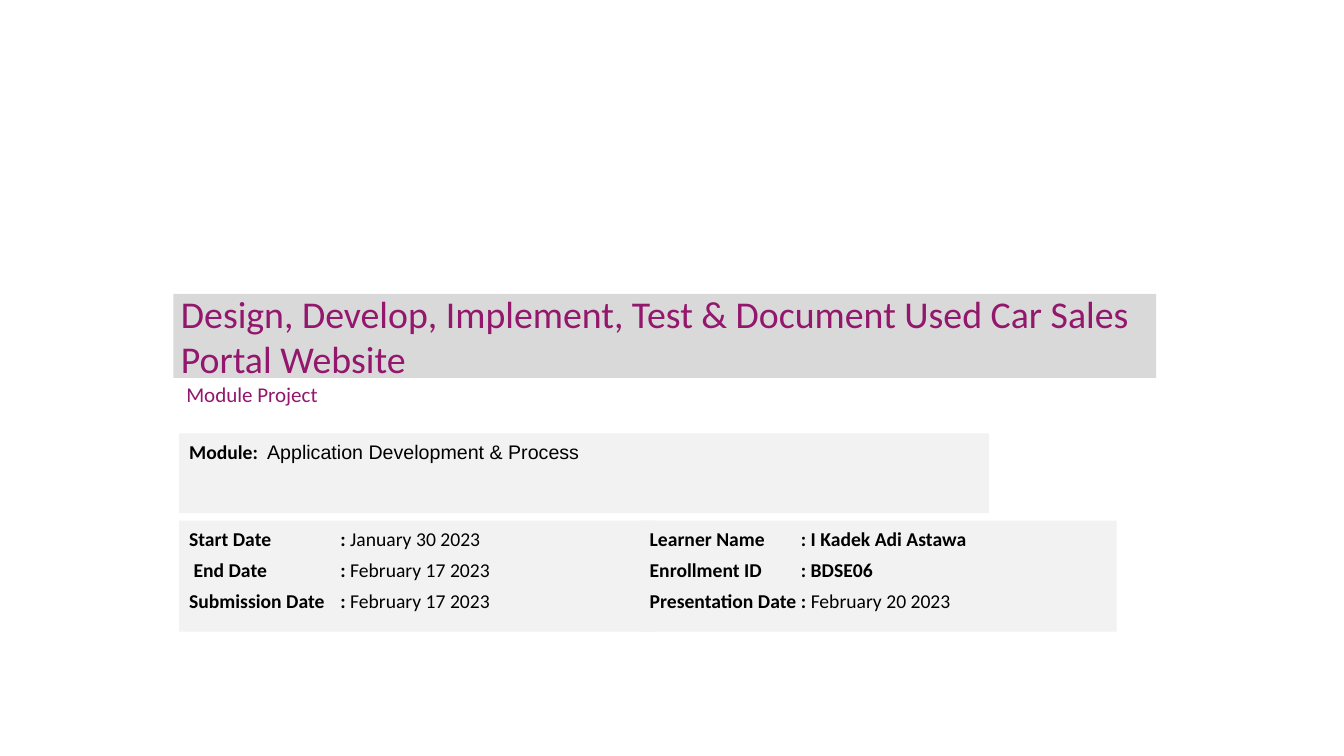
import pptx
import pptx.dml.color
import pptx.enum.shapes
import pptx.enum.text
import pptx.util
from dataclasses import dataclass
from lxml import etree

Pt = pptx.util.Pt
ALIGN = pptx.enum.text.PP_ALIGN
ANCHOR = pptx.enum.text.MSO_ANCHOR


@dataclass(frozen=True)
class Theme:
    accent: str = "93176C"
    ink: str = "000000"
    title_fill: str = "D9D9D9"
    panel_fill: str = "F2F2F2"
    font: str = "Calibri"
    module_font: str = "Arial"
    title_size: float = 27
    subtitle_size: float = 15
    detail_size: float = 14


def color(value):
    return pptx.dml.color.RGBColor.from_string(value)


def add_text(paragraph, text, *, font, size, fill, bold=False):
    run = paragraph.add_run()
    run.text = text
    run.font.name = font
    run.font.size = Pt(size)
    run.font.bold = bold
    run.font.color.rgb = color(fill)


def add_tab_stop(paragraph, position):
    properties = paragraph._p.get_or_add_pPr()
    tabs = etree.SubElement(properties, pptx.oxml.ns.qn("a:tabLst"))
    etree.SubElement(tabs, pptx.oxml.ns.qn("a:tab"), pos=str(Pt(position)), algn="l")


class SlideBuilder:
    def __init__(self, presentation, theme):
        self.theme = theme
        self.slide = presentation.slides.add_slide(presentation.slide_layouts[5])

    def title(self, text, left, top, width, height):
        shape = self.slide.shapes.title
        shape.left, shape.top, shape.width, shape.height = map(Pt, (left, top, width, height))
        shape.fill.solid()
        shape.fill.fore_color.rgb = color(self.theme.title_fill)
        frame = shape.text_frame
        frame.auto_size = pptx.enum.text.MSO_AUTO_SIZE.NONE
        frame.word_wrap = True
        frame.vertical_anchor = ANCHOR.MIDDLE
        frame.margin_left = frame.margin_right = Pt(5.4)
        frame.margin_top = frame.margin_bottom = Pt(2.7)
        paragraph = frame.paragraphs[0]
        paragraph.alignment = ALIGN.LEFT
        add_text(paragraph, text, font=self.theme.font, size=self.theme.title_size,
                 fill=self.theme.accent)

    def subtitle(self, text, left, top, width, height):
        box = self.slide.shapes.add_textbox(*map(Pt, (left, top, width, height)))
        box.text_frame.word_wrap = True
        box.text_frame.vertical_anchor = ANCHOR.MIDDLE
        add_text(box.text_frame.paragraphs[0], text, font=self.theme.font,
                 size=self.theme.subtitle_size, fill=self.theme.accent)

    def panel(self, rows, left, top, width, height, tab, value_font=None):
        """Each row holds a bold label and a value with its own weight."""
        shape = self.slide.shapes.add_shape(
            pptx.enum.shapes.MSO_SHAPE.RECTANGLE, *map(Pt, (left, top, width, height)))
        shape.shadow.inherit = False
        shape.fill.solid()
        shape.fill.fore_color.rgb = color(self.theme.panel_fill)
        shape.line.fill.background()
        frame = shape.text_frame
        frame.word_wrap = True
        frame.vertical_anchor = ANCHOR.TOP
        style = dict(size=self.theme.detail_size, fill=self.theme.ink)
        for index, (label, value, bold) in enumerate(rows):
            paragraph = frame.add_paragraph() if index else frame.paragraphs[0]
            add_tab_stop(paragraph, tab)
            paragraph.alignment = ALIGN.LEFT
            paragraph.line_spacing = Pt(18)
            paragraph.space_before = Pt(2 if index else 0)
            paragraph.space_after = Pt(2)
            add_text(paragraph, label, font=self.theme.font, bold=True, **style)
            add_text(paragraph, value, font=value_font or self.theme.font, bold=bold, **style)


def main():
    presentation = pptx.Presentation()
    presentation.slide_width, presentation.slide_height = Pt(960), Pt(540)
    theme = Theme()
    builder = SlideBuilder(presentation, theme)

    # Heading
    builder.title("Design, Develop, Implement, Test & Document Used Car Sales Portal Website",
                  123.84, 210, 702, 60)
    builder.subtitle("Module Project", 126, 259.2, 444, 44.6)

    # Module and project details
    panel_left, details_top, details_width, details_height = 128, 372, 340.6, 79.2
    builder.panel([("Module:\t", "Application Development & Process", False)],
                  panel_left, 309.6, 578.4, 56.9, tab=55.7, value_font=theme.module_font)
    dates = [
        ("Start Date\t: ", "January 30 2023", False),
        (" End Date\t: ", "February 17 2023", False),
        ("Submission Date\t: ", "February 17 2023", False),
    ]
    learner = [
        ("Learner Name\t: ", "I Kadek Adi Astawa", True),
        ("Enrollment ID\t: ", "BDSE06", True),
        ("Presentation Date\t: ", "February 20 2023", False),
    ]
    for left, rows in ((panel_left, dates), (457, learner)):
        builder.panel(rows, left, details_top, details_width, details_height, tab=108)

    presentation.save("out.pptx")


if __name__ == "__main__":
    main()
